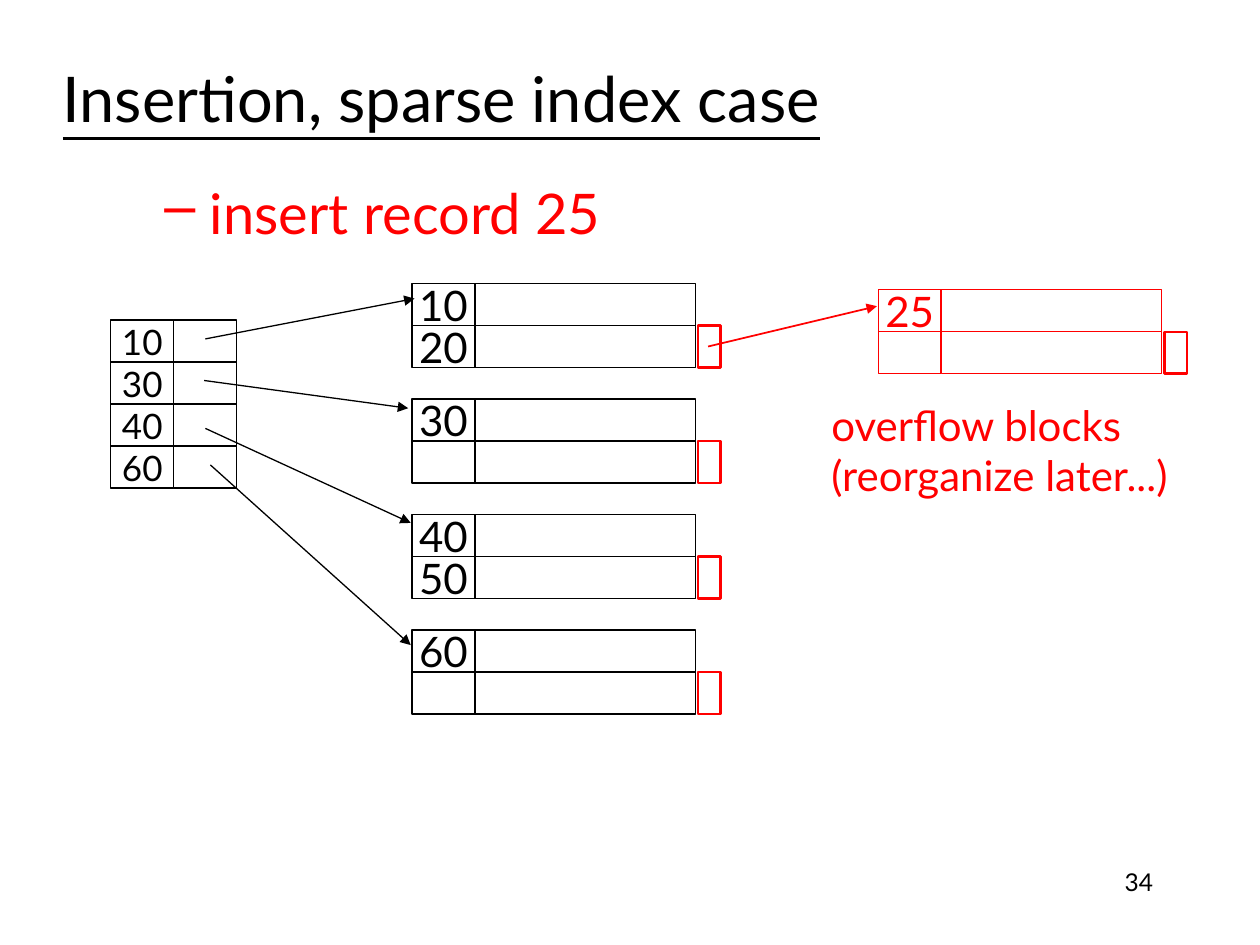
from lxml import etree
from pptx import Presentation
from pptx.dml.color import RGBColor
from pptx.enum.shapes import MSO_CONNECTOR as Connector, MSO_SHAPE as Shape
from pptx.enum.text import MSO_ANCHOR as Anchor, PP_ALIGN as Align
from pptx.oxml.ns import qn
from pptx.util import Inches, Pt

FONT = "Lato"
BLACK, RED, WHITE = "000000", "FF0000", "FFFFFF"
ROW = 1 / 3        # height of one record
KEY = 0.5          # width of a key cell
RECORD = 1.75      # width of the rest of a record


def color(value):
    return RGBColor.from_string(value)


def style(paragraph, size, ink, align=Align.LEFT):
    paragraph.alignment = align
    paragraph.font.name = FONT
    paragraph.font.size = Pt(size)
    paragraph.font.color.rgb = color(ink)


def add_text(slide, box, lines, size, ink=BLACK, align=Align.LEFT,
             anchor=Anchor.MIDDLE, wrap=True):
    frame = slide.shapes.add_textbox(*map(Inches, box)).text_frame
    frame.word_wrap = wrap
    frame.vertical_anchor = anchor
    frame.text = "\n".join(lines)
    for paragraph in frame.paragraphs:
        style(paragraph, size, ink, align)
    return frame.paragraphs[0]


def add_cell(slide, left, top, width, ink=BLACK, text="", size=24, weight=0.75):
    cell = slide.shapes.add_shape(
        Shape.RECTANGLE, *map(Inches, (left, top, width, ROW)))
    cell.shadow.inherit = False
    cell.fill.solid()
    cell.fill.fore_color.rgb = color(WHITE)
    cell.line.color.rgb = color(ink)
    cell.line.width = Pt(weight)
    if text:
        frame = cell.text_frame
        frame.word_wrap = False
        frame.vertical_anchor = Anchor.MIDDLE
        frame.margin_top = frame.margin_bottom = 0
        frame.text = text
        style(frame.paragraphs[0], size, ink, Align.CENTER)


def add_arrow(slide, start, end, ink=BLACK, weight=0.75):
    arrow = slide.shapes.add_connector(
        Connector.STRAIGHT, *map(Inches, start + end))
    arrow.line.color.rgb = color(ink)
    arrow.line.width = Pt(weight)
    etree.SubElement(arrow.line._get_or_add_ln(), qn("a:tailEnd"), type="triangle")
    etree.SubElement(arrow._element.spPr, qn("a:effectLst"))


def add_heading(slide, left, top):
    title = add_text(slide, (left, top, 8.5, 0.92),
                     ["Insertion, sparse index case"], 36)
    title.font.underline = True
    # Dash bullet under the title
    task = add_text(slide, (left + 0.29, top + 1.06, 4.19, 0.63),
                    [" insert record 25"], 32, RED, Align.CENTER, wrap=False)
    task.level = 1
    properties = task._p.get_or_add_pPr()
    properties.set("marL", str(Inches(0.5)))
    properties.set("indent", "0")
    etree.SubElement(properties, qn("a:buChar"), char="–")
    # Bullet must precede the default run properties
    properties.insert(0, properties[-1])


def add_index(slide, left, top, keys):
    for row, key in enumerate(keys):
        add_cell(slide, left, top + row * ROW, KEY, text=key, size=20)
        add_cell(slide, left + KEY, top + row * ROW, KEY)


def add_block(slide, left, top, keys, ink=BLACK, gap=0.02):
    for row, key in enumerate(keys):
        add_cell(slide, left, top + row * ROW, KEY, ink, key)
        add_cell(slide, left + KEY, top + row * ROW, RECORD, ink)
    # Overflow pointer beside the last record
    add_cell(slide, left + KEY + RECORD + gap, top + ROW, 0.18, RED, weight=1.5)


def add_overflow(slide, left, top):
    add_block(slide, left, top, ["25", ""], RED)
    add_text(slide, (left - 0.47, top + 0.82, 3.06, 0.9),
             ["overflow blocks", "(reorganize later...)"], 24, RED, wrap=False)


def main():
    deck = Presentation()
    deck.slide_width, deck.slide_height = Inches(10), Inches(7.5)
    slide = deck.slides.add_slide(deck.slide_layouts[6])

    add_heading(slide, 0.4, 0.31)

    # Data blocks at an equal pitch
    blocks = [["10", "20"], ["30", ""], ["40", "50"], ["60", ""]]
    for number, keys in enumerate(blocks):
        add_block(slide, 3.27, 2.25 + number * 11 / 12, keys)

    add_index(slide, 0.88, 2.54, ["10", "30", "40", "60"])
    add_overflow(slide, 6.97, 2.3)

    # Index entries point to their blocks
    for start, end in [((1.63, 2.69), (3.29, 2.37)),
                       ((1.62, 3.02), (3.24, 3.24)),
                       ((1.63, 3.4), (3.26, 4.15)),
                       ((1.67, 3.69), (3.26, 5.12))]:
        add_arrow(slide, start, end)
    add_arrow(slide, (5.62, 2.75), (6.96, 2.43), RED, 1)

    # Slide number
    add_text(slide, (7.17, 6.83, 2.08, 0.5), ["34"], 14,
             align=Align.RIGHT, anchor=Anchor.TOP)

    deck.save("out.pptx")


if __name__ == "__main__":
    main()
